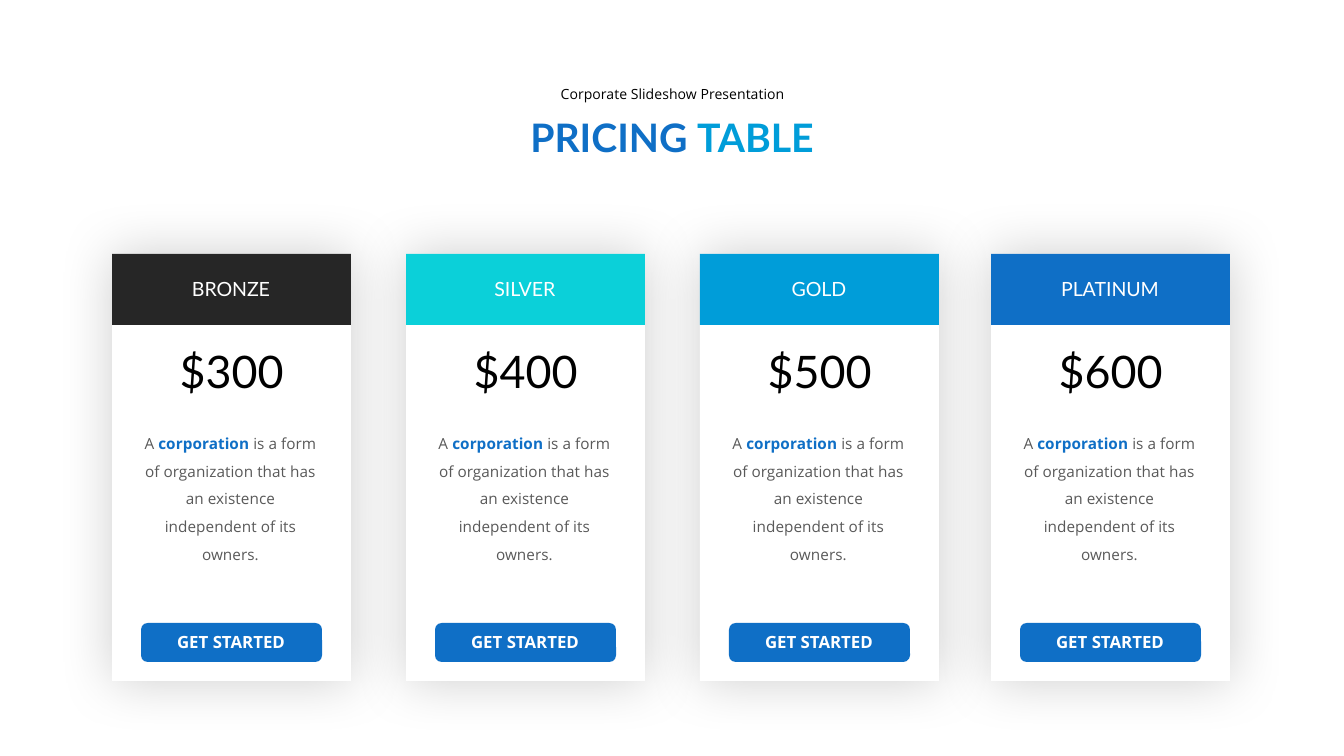
from dataclasses import dataclass

from lxml import etree
from pptx import Presentation
from pptx.dml.color import RGBColor
from pptx.enum.shapes import MSO_SHAPE
from pptx.enum.text import PP_ALIGN
from pptx.oxml.ns import qn
from pptx.shapes.autoshape import Shape
from pptx.util import Emu, Pt

RECT = MSO_SHAPE.RECTANGLE
ROUNDED = MSO_SHAPE.ROUNDED_RECTANGLE
CENTER = PP_ALIGN.CENTER

WHITE = RGBColor(0xFF, 0xFF, 0xFF)
BLACK = RGBColor(0x00, 0x00, 0x00)
CHARCOAL = RGBColor(0x26, 0x26, 0x26)
GRAY = RGBColor(0x59, 0x59, 0x59)
TURQUOISE = RGBColor(0x0B, 0xD0, 0xD9)
SKY = RGBColor(0x00, 0x9D, 0xD9)
BLUE = RGBColor(0x0F, 0x6F, 0xC6)

HEADING_FONT = "Lato"
BODY_FONT = "Open Sans"
EMU_PER_PX = 9144000 / 1344

CARD_TOP, CARD_W, CARD_H = 254, 239, 427
HEADER_H = 71


@dataclass
class Box:
    x: int
    y: int
    w: int
    h: int


@dataclass
class Run:
    text: str
    color: RGBColor
    bold: bool = False


@dataclass
class Plan:
    x: int
    name: str
    price: str
    color: RGBColor


PLANS = [
    Plan(112, "BRONZE", "$300", CHARCOAL),
    Plan(406, "SILVER", "$400", TURQUOISE),
    Plan(700, "GOLD", "$500", SKY),
    Plan(991, "PLATINUM", "$600", BLUE),
]
DESCRIPTION = [
    Run("A ", GRAY),
    Run("corporation", BLUE, True),
    Run(" is a form of organization that has an existence independent of its owners.", GRAY),
]


def px(n: int) -> Emu:
    return Emu(round(n * EMU_PER_PX))


def add_block(shapes, kind: MSO_SHAPE, box: Box, color: RGBColor) -> Shape:
    s = shapes.add_shape(kind, px(box.x), px(box.y), px(box.w), px(box.h))
    s.shadow.inherit = False
    s.fill.solid()
    s.fill.fore_color.rgb = color
    s.line.fill.background()
    return s


def add_glow_shadow(s: Shape) -> None:
    effects = s._element.spPr.find(qn("a:effectLst"))
    shadow = etree.SubElement(effects, qn("a:outerShdw"), blurRad=str(Pt(30)),
                              dist="0", dir="0", algn="ctr", rotWithShape="0")
    color = etree.SubElement(shadow, qn("a:srgbClr"), val=str(BLACK))
    etree.SubElement(color, qn("a:alpha"), val="20000")


def add_text(shapes, box: Box, runs: list[Run], font: str, size: float,
             spacing: float = 1.0) -> None:
    s = shapes.add_textbox(px(box.x), px(box.y), px(box.w), px(box.h))
    tf = s.text_frame
    tf.word_wrap = True
    tf.margin_left = tf.margin_right = px(10)
    tf.margin_top = tf.margin_bottom = px(5)
    p = tf.paragraphs[0]
    p.alignment = CENTER
    p.line_spacing = spacing
    p.font.name = font
    p.font.size = Pt(size)
    for run in runs:
        r = p.add_run()
        r.text = run.text
        r.font.name = font
        r.font.size = Pt(size)
        r.font.bold = run.bold
        r.font.color.rgb = run.color


def add_plan(shapes, plan: Plan) -> None:
    x = plan.x
    group = shapes.add_group_shape().shapes
    card = add_block(group, RECT, Box(x, CARD_TOP, CARD_W, CARD_H), WHITE)
    add_glow_shadow(card)
    add_block(group, RECT, Box(x, CARD_TOP, CARD_W, HEADER_H), plan.color)
    button = add_block(group, ROUNDED, Box(x + 29, 623, 181, 39), BLUE)
    button.adjustments[0] = 0.17
    add_text(group, Box(x - 19, 272, 276, 34), [Run(plan.name, WHITE)], HEADING_FONT, 10.5)
    add_text(group, Box(x + 21, 420, 195, 151), DESCRIPTION, BODY_FONT, 8.25, 1.5)
    add_text(group, Box(x + 42, 339, 155, 65), [Run(plan.price, BLACK)], HEADING_FONT, 24)
    add_text(group, Box(x - 19, 627, 276, 31), [Run("GET STARTED", WHITE, True)], BODY_FONT, 9)


def main() -> None:
    prs = Presentation()
    prs.slide_width, prs.slide_height = px(1344), px(756)
    shapes = prs.slides.add_slide(prs.slide_layouts[6]).shapes
    add_text(shapes, Box(448, 108, 448, 58),
             [Run("PRICING ", BLUE, True), Run("TABLE", SKY, True)], HEADING_FONT, 21)
    add_text(shapes, Box(427, 81, 491, 27),
             [Run("Corporate Slideshow Presentation", BLACK)], BODY_FONT, 7.5)
    for plan in PLANS:
        add_plan(shapes, plan)
    prs.save("out.pptx")


if __name__ == "__main__":
    main()
